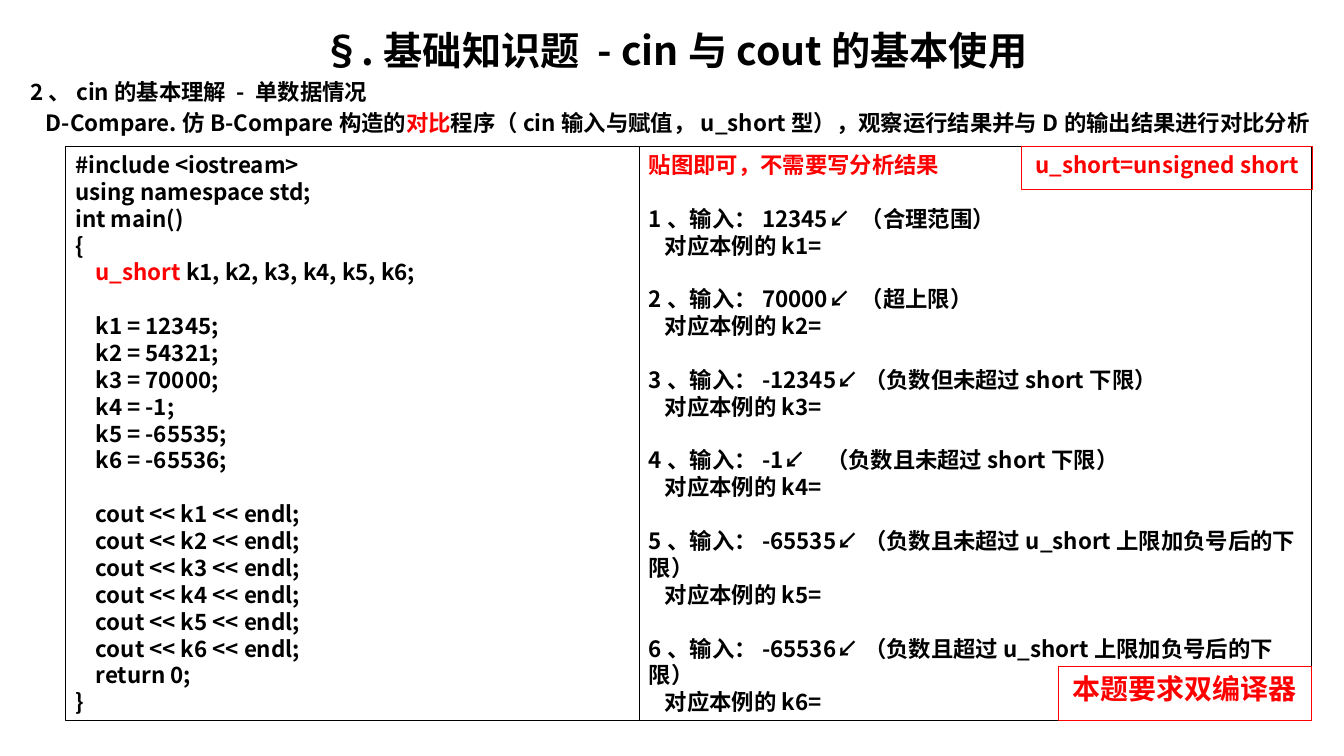
import pptx
import pptx.util
import pptx.dml.color
import pptx.enum.shapes
import pptx.enum.text
import pptx.oxml.ns
from lxml import etree

Pt = pptx.util.Pt
RGB = pptx.dml.color.RGBColor.from_string
ALIGN = pptx.enum.text.PP_ALIGN

# Content: text between bars is red
TITLE = "§.基础知识题 - cin与cout的基本使用"
SECTION = "2、cin的基本理解 - 单数据情况"
TASK = ("D-Compare.仿B-Compare构造的|对比|程序（cin输入与赋值，u_short型），"
        "观察运行结果并与D的输出结果进行对比分析")
VALUES = ["12345", "54321", "70000", "-1", "-65535", "-65536"]
CODE_GROUPS = [
    ["#include <iostream>", "using namespace std;", "int main()", "{",
     "    |u_short| k1, k2, k3, k4, k5, k6;"],
    [f"    k{i} = {v};" for i, v in enumerate(VALUES, 1)],
    [f"    cout << k{i} << endl;" for i in range(1, len(VALUES) + 1)]
    + ["    return 0;", "}"],
]
HINT = "|贴图即可，不需要写分析结果|"
INPUTS = [
    "12345↙ （合理范围）",
    "70000↙ （超上限）",
    "-12345↙（负数但未超过short下限）",
    "-1↙\t（负数且未超过short下限）",
    "-65535↙（负数且未超过u_short上限加负号后的下限）",
    "-65536↙（负数且超过u_short上限加负号后的下限）",
]
ALIAS = "|u_short=unsigned short|"
REQUIREMENT = "|本题要求双编译器|"

THEME = dict(font="Noto Sans CJK SC", ink="000000", accent="FF0000",
             title=28, label=20, body=16, rule=0.75)

# Geometry in points
SLIDE_W, SLIDE_H = 960, 540
LINE = 1.2                      # line height as a multiple of type size
BODY_LINE = THEME["body"] * LINE
INDENT, NOTE_TAB = 11.3, 126.5
LEFT, TOP, PANEL_H = 46.8, 104.4, 410.4
CODE_W, ANSWER_W = 409.7, 480.2
ANSWER_X = LEFT + CODE_W
RIGHT, BOTTOM = ANSWER_X + ANSWER_W, TOP + PANEL_H
ALIAS_W, ALIAS_H = 207.4, 31
REQ_W, REQ_H = 180.7, 38.9


def para(text, size=THEME["body"], before=0, line=None, indent=0, tab=None,
         align=ALIGN.LEFT):
    return dict(text=text, size=size, before=before, line=line or size * LINE,
                indent=indent, tab=tab, align=align)


def write(tf, paras):
    tf.word_wrap = True
    tf.vertical_anchor = pptx.enum.text.MSO_ANCHOR.TOP
    for i, item in enumerate(paras):
        p = tf.paragraphs[0] if i == 0 else tf.add_paragraph()
        p.alignment = item["align"]
        p.line_spacing = Pt(item["line"])
        p.space_before = Pt(item["before"])
        pPr = p._p.get_or_add_pPr()
        pPr.set("marL", str(Pt(item["indent"])))
        if item["tab"]:
            tabs = etree.SubElement(pPr, pptx.oxml.ns.qn("a:tabLst"))
            etree.SubElement(tabs, pptx.oxml.ns.qn("a:tab"),
                             pos=str(Pt(item["tab"])), algn="l")
        for n, part in enumerate(item["text"].split("|")):
            if not part:
                continue
            r = p.add_run()
            r.text = part
            r.font.name = THEME["font"]
            r.font.size = Pt(item["size"])
            r.font.bold = True
            r.font.color.rgb = RGB(THEME["accent" if n % 2 else "ink"])
            etree.SubElement(r._r.get_or_add_rPr(), pptx.oxml.ns.qn("a:ea"),
                             typeface=THEME["font"])


def framed(s, box, color, paras):
    sp = s.shapes.add_shape(pptx.enum.shapes.MSO_SHAPE.RECTANGLE,
                            *[Pt(v) for v in box])
    sp.shadow.inherit = False
    sp.fill.background()
    sp.line.color.rgb = RGB(THEME[color])
    sp.line.width = Pt(THEME["rule"])
    write(sp.text_frame, paras)


prs = pptx.Presentation()
prs.slide_width, prs.slide_height = Pt(SLIDE_W), Pt(SLIDE_H)
s = prs.slides.add_slide(prs.slide_layouts[6])

# Headings
heading = s.shapes.add_textbox(Pt(14.4), Pt(13), Pt(935.3), Pt(510.5))
write(heading.text_frame, [
    para(TITLE, THEME["title"], line=36, align=ALIGN.CENTER),
    para(SECTION, before=3),
    para(TASK, before=3, indent=INDENT),
])

# Program, with one line of space between groups
code = [para(text, before=BODY_LINE if g and not i else 0)
        for g, group in enumerate(CODE_GROUPS) for i, text in enumerate(group)]
framed(s, (LEFT, TOP, CODE_W, PANEL_H), "ink", code)

# Questions to answer
answers = [para(HINT)]
for i, entry in enumerate(INPUTS, 1):
    answers.append(para(f"{i}、输入：{entry}", before=BODY_LINE,
                        tab=NOTE_TAB if "\t" in entry else None))
    answers.append(para(f"对应本例的k{i}=", indent=INDENT))
framed(s, (ANSWER_X, TOP, ANSWER_W, PANEL_H), "ink", answers)

# Corner labels
framed(s, (RIGHT - REQ_W, BOTTOM - REQ_H, REQ_W, REQ_H), "accent",
       [para(REQUIREMENT, THEME["label"], align=ALIGN.CENTER)])
framed(s, (RIGHT - ALIAS_W + 0.6, TOP, ALIAS_W, ALIAS_H), "accent",
       [para(ALIAS, align=ALIGN.CENTER)])

prs.save("out.pptx")
